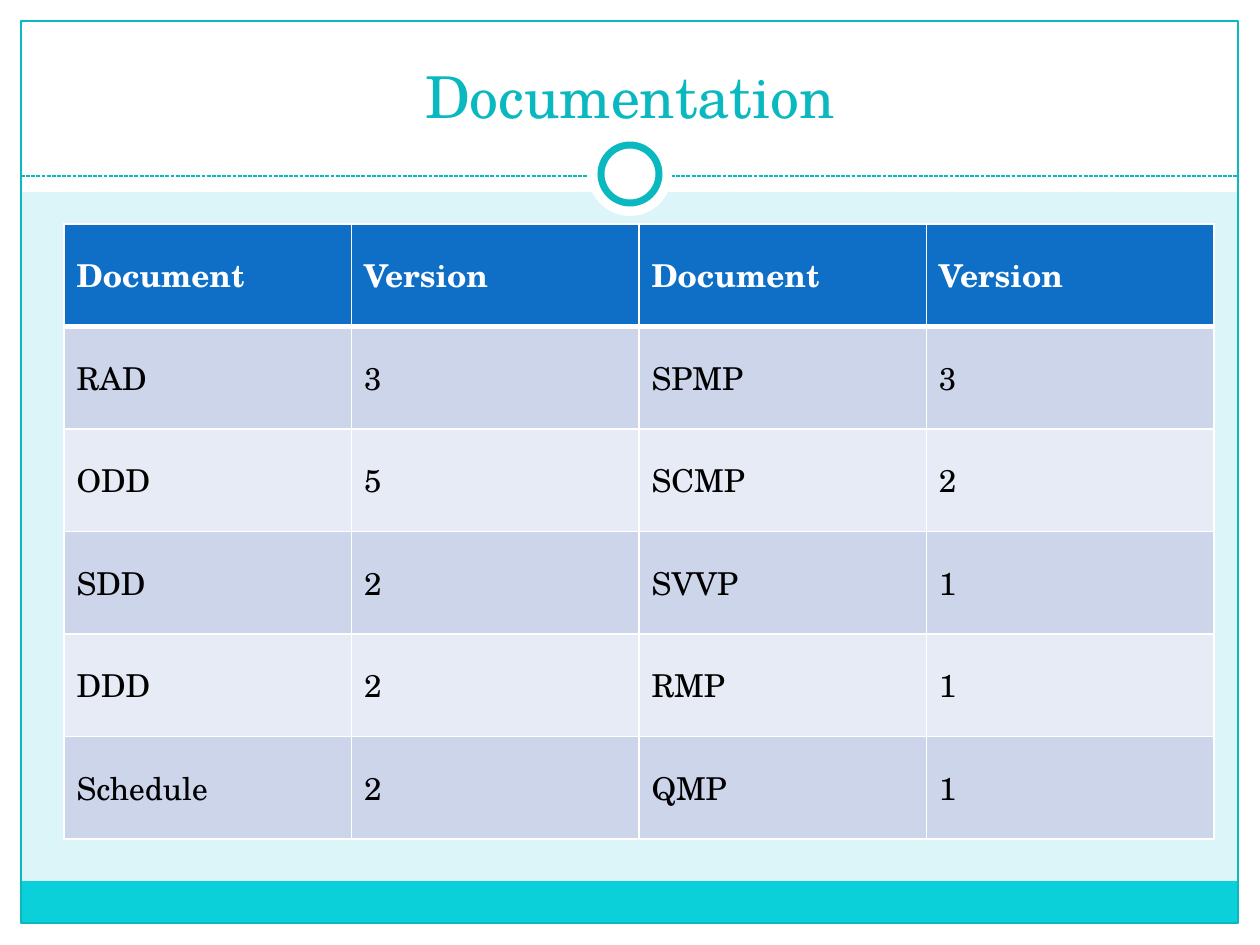
"""Build the Documentation slide: a framed page with a table of document versions."""
from lxml.etree import SubElement
from pptx import Presentation
from pptx.dml.color import RGBColor
from pptx.enum.dml import MSO_LINE
from pptx.enum.shapes import MSO_CONNECTOR, MSO_SHAPE
from pptx.enum.text import MSO_ANCHOR, PP_ALIGN
from pptx.oxml.ns import qn
from pptx.util import Pt

WHITE = RGBColor(0xFF, 0xFF, 0xFF)
BLACK = RGBColor(0x00, 0x00, 0x00)
PALE_AQUA = RGBColor(0xDB, 0xF5, 0xF9)
AQUA = RGBColor(0x0B, 0xD0, 0xD9)
TEAL = RGBColor(0x0A, 0xB8, 0xBF)
HEADER_BLUE = RGBColor(0x0F, 0x6F, 0xC6)
BANDS = (RGBColor(0xE7, 0xEB, 0xF5), RGBColor(0xCC, 0xD5, 0xEA))
FONT = "TeX Gyre Schola"
SCALE = 914400 / 126

TITLE = "Documentation"
ROWS = [
    ("Document", "Version", "Document", "Version"),
    ("RAD", "3", "SPMP", "3"),
    ("ODD", "5", "SCMP", "2"),
    ("SDD", "2", "SVVP", "1"),
    ("DDD", "2", "RMP", "1"),
    ("Schedule", "2", "QMP", "1"),
]
PANELS = [
    ((0, 924, 1260, 21), WHITE),
    ((0, 0, 1260, 192), WHITE),
    ((0, 0, 21, 945), WHITE),
    ((1239, 0, 21, 945), WHITE),
    ((21, 881, 1217, 43), AQUA),
]
FRAME = (21, 21, 1217, 902)
RULE = (21, 176, 1238, 176)
RING_BACK = (588, 132, 84, 84)
RING = (601, 145, 58, 58)
TITLE_BOX = (42, 32, 1176, 104)
TABLE_BOX = (64, 224, 1150, 615)


def emu(lengths):
    return [round(length * SCALE) for length in lengths]


def add_panel(page, kind, box, fill=None, line_width=None):
    panel = page.shapes.add_shape(kind, *emu(box))
    panel.shadow.inherit = False
    if fill is None:
        panel.fill.background()
    else:
        panel.fill.solid()
        panel.fill.fore_color.rgb = fill
    if line_width is None:
        panel.line.fill.background()
    else:
        panel.line.color.rgb = TEAL
        panel.line.width = Pt(line_width)


def style_text(para, size, color, bold=False):
    for span in para.runs:
        span.font.name = FONT
        span.font.size = Pt(size)
        span.font.bold = bold
        span.font.color.rgb = color


def add_borders(cell, widths):
    properties = cell._tc.get_or_add_tcPr()
    for side, width in widths.items():
        border = SubElement(properties, qn(f"a:ln{side}"), w=str(Pt(width)))
        fill = SubElement(border, qn("a:solidFill"))
        SubElement(fill, qn("a:srgbClr"), val=str(WHITE))


def add_versions(page):
    left, top, width, height = emu(TABLE_BOX)
    table = page.shapes.add_table(len(ROWS), len(ROWS[0]), left, top, width, height).table
    for row_index, values in enumerate(ROWS):
        header = row_index == 0
        for column_index, value in enumerate(values):
            cell = table.cell(row_index, column_index)
            cell.text_frame.text = value
            cell.vertical_anchor = MSO_ANCHOR.MIDDLE
            style_text(cell.text_frame.paragraphs[0], 18, WHITE if header else BLACK, header)
            add_borders(cell, {"L": 1, "R": 1, "T": 3 if row_index == 1 else 1, "B": 3 if header else 1})
            cell.fill.solid()
            cell.fill.fore_color.rgb = HEADER_BLUE if header else BANDS[row_index % 2]


deck = Presentation()
deck.slide_width, deck.slide_height = emu((1260, 945))
page = deck.slides.add_slide(deck.slide_layouts[5])
page.background.fill.solid()
page.background.fill.fore_color.rgb = PALE_AQUA

for box, color in PANELS:
    add_panel(page, MSO_SHAPE.RECTANGLE, box, color)
add_panel(page, MSO_SHAPE.RECTANGLE, FRAME, line_width=0.75)

rule = page.shapes.add_connector(MSO_CONNECTOR.STRAIGHT, *emu(RULE))
rule.line.color.rgb = TEAL
rule.line.width = Pt(0.75)
rule.line.dash_style = MSO_LINE.SQUARE_DOT
SubElement(rule.element.spPr, qn("a:effectLst"))

add_panel(page, MSO_SHAPE.OVAL, RING_BACK, WHITE)
add_panel(page, MSO_SHAPE.OVAL, RING, WHITE, 4)

title = page.shapes.title
title.left, title.top, title.width, title.height = emu(TITLE_BOX)
title.text_frame.text = TITLE
title.text_frame.vertical_anchor = MSO_ANCHOR.BOTTOM
title.text_frame.paragraphs[0].alignment = PP_ALIGN.CENTER
style_text(title.text_frame.paragraphs[0], 33, TEAL)
title.element.getparent().append(title.element)

add_versions(page)
deck.save("out.pptx")
